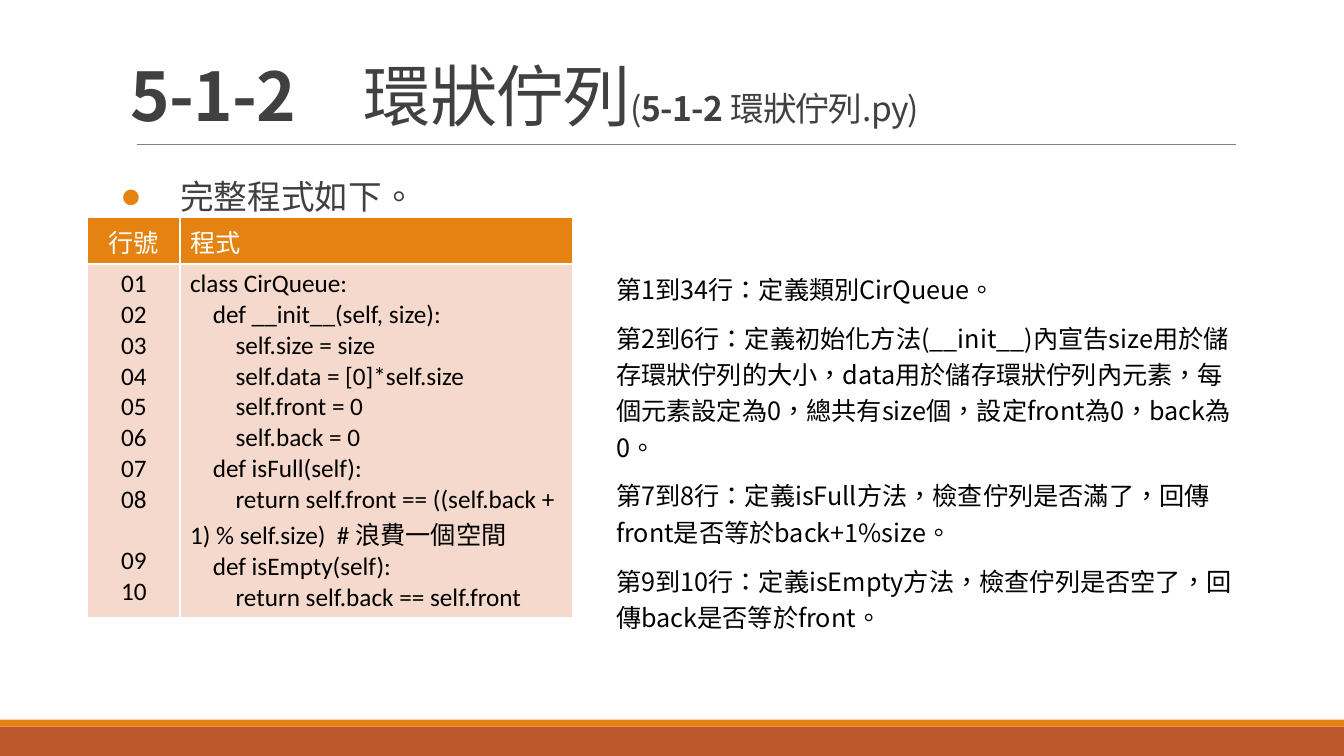
from lxml import etree
from pptx import Presentation
from pptx.dml.color import RGBColor
from pptx.enum.shapes import MSO_CONNECTOR, MSO_SHAPE
from pptx.enum.text import MSO_ANCHOR, PP_ALIGN
from pptx.oxml.ns import qn
from pptx.util import Pt

LINE = MSO_CONNECTOR.STRAIGHT
RECT = MSO_SHAPE.RECTANGLE
TOP, BOTTOM = MSO_ANCHOR.TOP, MSO_ANCHOR.BOTTOM
LEFT, CENTER = PP_ALIGN.LEFT, PP_ALIGN.CENTER

ORANGE = RGBColor(0xE4, 0x83, 0x12)
RUST = RGBColor(0xBD, 0x58, 0x2C)
PINK = RGBColor(0xF5, 0xD9, 0xCC)
GRAY = RGBColor(0x80, 0x80, 0x80)
DARK = RGBColor(0x40, 0x40, 0x40)
BLACK = RGBColor(0, 0, 0)
WHITE = RGBColor(0xFF, 0xFF, 0xFF)
SANS, LATIN = "Noto Sans CJK SC", "Calibri"

WIDE, HIGH = 960, 540

TITLE = [("5-1-2　", 48, True), ("環狀佇列", 48, False), ("(", 24, False),
         ("5-1-2 ", 24, True), ("環狀佇列.py)", 24, False)]
CODE = """class CirQueue:
    def __init__(self, size):
        self.size = size
        self.data = [0]*self.size
        self.front = 0
        self.back = 0
    def isFull(self):
        return self.front == ((self.back + 1) % self.size)  # 浪費一個空間
    def isEmpty(self):
        return self.back == self.front""".split("\n")
NOTES = [
    "第1到34行：定義類別CirQueue。",
    "第2到6行：定義初始化方法(__init__)內宣告size用於儲存環狀佇列的大小，"
    "data用於儲存環狀佇列內元素，每個元素設定為0，總共有size個，設定front為0，back為0。",
    "第7到8行：定義isFull方法，檢查佇列是否滿了，回傳front是否等於back+1%size。",
    "第9到10行：定義isEmpty方法，檢查佇列是否空了，回傳back是否等於front。",
]


def write(para, text, size=18, color=BLACK, bold=False, face=SANS, track=0):
    """Add one formatted run to a paragraph."""
    run = para.add_run()
    run.text = text
    font = run.font
    font.size, font.bold, font.name = Pt(size), bold, face
    font.color.rgb = color
    props = font._element
    props.set("lang", "zh-TW")
    if track:
        props.set("spc", str(int(track * 100)))
    props.find(qn("a:latin")).addnext(
        props.makeelement(qn("a:ea"), {"typeface": SANS}))


def lines(frame, texts, align=LEFT, lead=None, gap=0, after=0, **form):
    """Write one paragraph for each text."""
    for i, text in enumerate(texts):
        para = frame.paragraphs[0] if i == 0 else frame.add_paragraph()
        para.alignment = align
        para.line_spacing = lead
        para.space_before = Pt(gap if i else 0)
        para.space_after = Pt(after)
        write(para, text, **form)
    return frame.paragraphs


def text_box(slide, x, y, w, h, anchor=TOP, pad=7.2):
    frame = slide.shapes.add_textbox(Pt(x), Pt(y), Pt(w), Pt(h)).text_frame
    frame.word_wrap = True
    frame.vertical_anchor = anchor
    frame.margin_left = frame.margin_right = Pt(pad)
    return frame


def bullet(para, mark, color, indent):
    props = para._p.get_or_add_pPr()
    props.set("marL", str(Pt(indent)))
    props.set("indent", str(-Pt(indent)))
    tint = etree.SubElement(props, qn("a:buClr"))
    etree.SubElement(tint, qn("a:srgbClr"), val=str(color))
    etree.SubElement(props, qn("a:buFont"), typeface=LATIN)
    etree.SubElement(props, qn("a:buChar"), char=mark)


def border(cell):
    """Draw thin white lines round a cell."""
    props = cell._tc.get_or_add_tcPr()
    for i, side in enumerate("LRTB"):
        line = props.makeelement(qn("a:ln" + side), {"w": str(Pt(1))})
        fill = etree.SubElement(line, qn("a:solidFill"))
        etree.SubElement(fill, qn("a:srgbClr"), val=str(WHITE))
        props.insert(i, line)


def footer(slide, x, y, w, h):
    strip = 5
    for top, tall, color in ((y + strip, h - strip, RUST), (y, strip, ORANGE)):
        bar = slide.shapes.add_shape(RECT, Pt(x), Pt(top), Pt(w), Pt(tall))
        bar.shadow.inherit = False
        bar.fill.solid()
        bar.fill.fore_color.rgb = color
        bar.line.fill.background()


def header(slide, x, y, w, h):
    # Rule under the title
    below = y + h + 3
    rule = slide.shapes.add_connector(
        LINE, Pt(x + 11.5), Pt(below), Pt(x + w + 4.3), Pt(below))
    rule.line.color.rgb = GRAY
    rule.line.width = Pt(0.5)
    etree.SubElement(rule._element.spPr, qn("a:effectLst"))
    # Title
    para = text_box(slide, x, y, w, h, anchor=BOTTOM).paragraphs[0]
    para.line_spacing = 0.85
    for text, size, bold in TITLE:
        write(para, text, size=size, color=DARK, bold=bold, track=-0.5)


def intro(slide, x, y, w, h):
    frame = text_box(slide, x, y, w, h, pad=0)
    para = lines(frame, ["完整程式如下。"], lead=1.5, after=3,
                 size=24, color=DARK)[0]
    bullet(para, "●", ORANGE, 42.5)


def listing(slide, x, y, w, h):
    first, head = 66, 33
    grid = slide.shapes.add_table(2, 2, Pt(x), Pt(y), Pt(w), Pt(h)).table
    grid.columns[0].width, grid.columns[1].width = Pt(first), Pt(w - first)
    grid.rows[0].height, grid.rows[1].height = Pt(head), Pt(h - head)
    count = [f"{n:02}" for n in range(1, len(CODE) + 1)]
    rows = ((ORANGE, WHITE, (["行號"], ["程式"])),
            (PINK, BLACK, (count, CODE)))
    for r, (fill, ink, texts) in enumerate(rows):
        for c, align in enumerate((CENTER, LEFT)):
            cell = grid.cell(r, c)
            border(cell)
            cell.fill.solid()
            cell.fill.fore_color.rgb = fill
            lines(cell.text_frame, texts[c], align=align,
                  color=ink, face=LATIN)
    # Line 08 wraps, so its number takes two lines
    grid.cell(1, 0).text_frame.paragraphs[7].space_after = Pt(22)


def notes(slide, x, y, w, h):
    lines(text_box(slide, x, y, w, h), NOTES, lead=1.2, gap=6, after=3)


def main():
    deck = Presentation()
    deck.slide_width, deck.slide_height = Pt(WIDE), Pt(HIGH)
    slide = deck.slides.add_slide(deck.slide_layouts[6])
    footer(slide, 0, 514, WIDE, 26)
    header(slide, 86.4, 22.5, 792, 77.5)
    intro(slide, 86.4, 108, 792, 388)
    listing(slide, 62.6, 155.5, 346.5, 286)
    notes(slide, 433, 188, 455, 268)
    deck.save("out.pptx")


if __name__ == "__main__":
    main()
